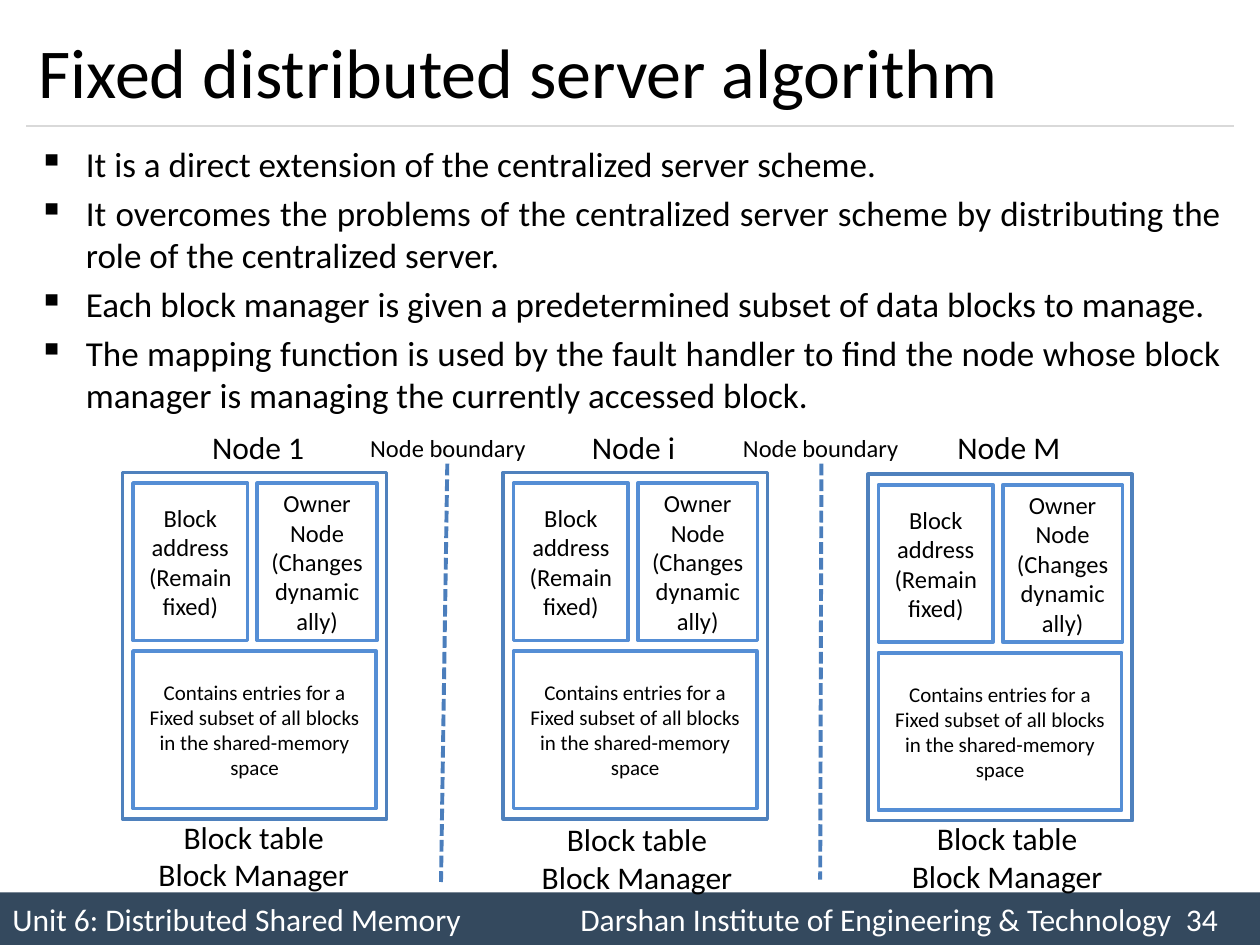
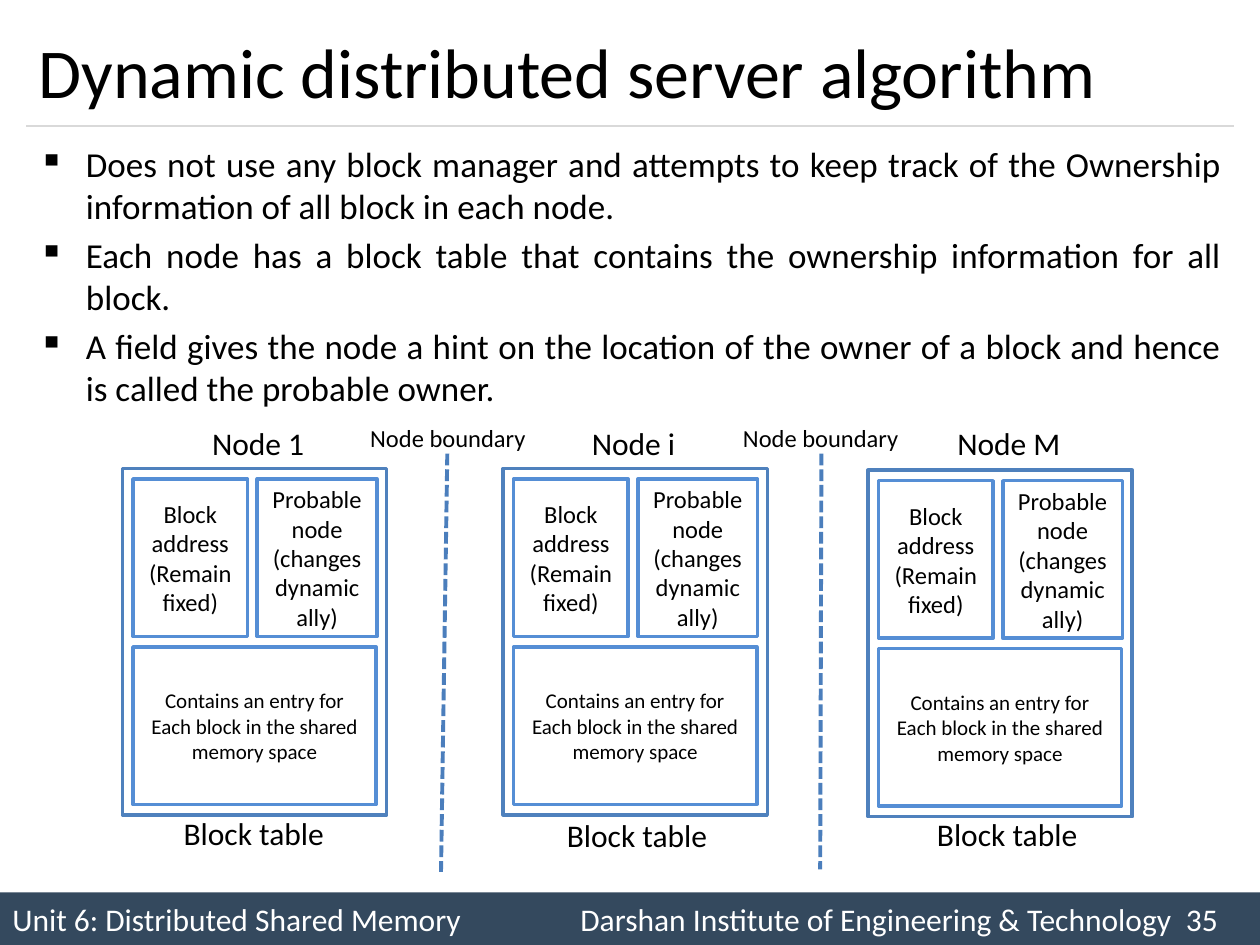
import pptx
import pptx.dml.color
import pptx.enum.dml
import pptx.enum.shapes
import pptx.enum.text
import pptx.oxml.ns
import pptx.util
from lxml import etree

Pt = pptx.util.Pt
ALIGN = pptx.enum.text.PP_ALIGN
ANCHOR = pptx.enum.text.MSO_ANCHOR

FONT = "Calibri"
BLACK, WHITE = "000000", "FFFFFF"
BAND, RULE = "34495E", "D9D9D9"
NODE_LINE, CELL_LINE, BOUNDARY_LINE = "4F81BD", "558ED5", "4B7EBC"

WIDTH, HEIGHT = 720, 540
MARGIN = 15
NODE_W, NODE_H = 151, 198
PAD, CELL_H = 6, 90

# name, left, drop below the diagram top, shift of name, shift and drop of caption
NODES = [
    ("Node 1", 70, 0, 2, -0.5, 193.7),
    ("Node i", 287.5, 0, -1, 1, 195.1),
    ("Node M", 496, 1, 5, 4, 193.7),
]
# label centre, line x at the top, line x at the bottom, line length
BOUNDARIES = [(256, 255.6, 252, 239), (469, 469.4, 468.7, 237.6)]

SLIDES = [
    dict(
        title="Fixed distributed server algorithm",
        number=34,
        bullets=[
            "It is a direct extension of the centralized server scheme.",
            "It overcomes the problems of the centralized server scheme by "
            "distributing the role of the centralized server.",
            "Each block manager is given a predetermined subset of data blocks to manage.",
            "The mapping function is used by the fault handler to find the node whose "
            "block manager is managing the currently accessed block.",
        ],
        top=270,
        boundary_top=265,
        owner=["Owner Node", "(Changes dynamically)"],
        entries=["Contains entries for a", "Fixed subset of all blocks",
                 "in the shared-memory", "space"],
        caption=["Block table", "Block Manager"],
    ),
    dict(
        title="Dynamic distributed server algorithm",
        number=35,
        bullets=[
            "Does not use any block manager and attempts to keep track of the Ownership "
            "information of all block in each node.",
            "Each node has a block table that contains the ownership information for all block.",
            "A field gives the node a hint on the location of the owner of a block and hence "
            "is called the probable owner.",
        ],
        top=267.7,
        boundary_top=259.2,
        owner=["Probable", "node", "(changes", "dynamically)"],
        entries=["Contains an entry for", "Each block in the shared memory space"],
        caption=["Block table"],
    ),
]


def rgb(color):
    return pptx.dml.color.RGBColor.from_string(color)


def add_element(parent, tag, **attrs):
    return etree.SubElement(parent, pptx.oxml.ns.qn(tag), **attrs)


def write(sp, lines, size, color=BLACK, align=ALIGN.CENTER, anchor=ANCHOR.TOP,
          gap=0, bullet=None, indent=0, tabs=()):
    """Fill a shape with one paragraph per line, all in the same format."""
    tf = sp.text_frame
    tf.word_wrap = True
    tf.vertical_anchor = anchor
    for i, line in enumerate(lines):
        p = tf.paragraphs[0] if i == 0 else tf.add_paragraph()
        p.alignment = align
        if gap and i:
            p.space_before = Pt(gap)
        pPr = p._p.get_or_add_pPr()
        if bullet:
            pPr.set("marL", str(Pt(indent)))
            pPr.set("indent", str(-Pt(indent)))
            add_element(pPr, "a:buChar", char=bullet)
        if tabs:
            stops = add_element(pPr, "a:tabLst")
            for pos in tabs:
                add_element(stops, "a:tab", pos=str(Pt(pos)), algn="l")
        r = p.add_run()
        r.text = line
        r.font.name, r.font.size = FONT, Pt(size)
        r.font.color.rgb = rgb(color)


def add_text(s, x, y, w, h, lines, size, **fmt):
    sp = s.shapes.add_textbox(Pt(x), Pt(y), Pt(w), Pt(h))
    write(sp, lines, size, **fmt)


def add_box(s, x, y, w, h, fill, line=None):
    sp = s.shapes.add_shape(pptx.enum.shapes.MSO_SHAPE.RECTANGLE, Pt(x), Pt(y), Pt(w), Pt(h))
    sp.shadow.inherit = False
    sp.fill.solid()
    sp.fill.fore_color.rgb = rgb(fill)
    if line:
        sp.line.color.rgb = rgb(line)
        sp.line.width = Pt(2)
    else:
        sp.line.fill.background()
    return sp


def add_line(s, x1, y1, x2, y2, color, width, dash=None):
    c = s.shapes.add_connector(pptx.enum.shapes.MSO_CONNECTOR.STRAIGHT,
                               Pt(x1), Pt(y1), Pt(x2), Pt(y2))
    c.line.color.rgb = rgb(color)
    c.line.width = Pt(width)
    if dash:
        c.line.dash_style = dash
    add_element(c._element.spPr, "a:effectLst")


def add_frame(s, title, number):
    """Footer band, title and the rule below it."""
    band = add_box(s, 0, 510, WIDTH, 30, BAND)
    write(band, [f"Unit 6: Distributed Shared Memory\t"
                 f"Darshan Institute of Engineering & Technology\t{number}"],
          18, color=WHITE, align=ALIGN.LEFT, anchor=ANCHOR.MIDDLE, tabs=(324.6, 670.6))
    add_line(s, MARGIN, 72, WIDTH - MARGIN, 72, RULE, 0.75)
    add_text(s, MARGIN, 8.6, WIDTH - 2 * MARGIN, 63.4, [title], 40,
             align=ALIGN.JUSTIFY, anchor=ANCHOR.MIDDLE)


def add_bullets(s, bullets):
    add_text(s, MARGIN, 78, WIDTH - 2 * MARGIN, 170, bullets, 20,
             align=ALIGN.JUSTIFY, gap=4, bullet="▪", indent=27)


def add_node(s, x, y, owner, entries):
    """Node box with two cells side by side and a wide cell below them."""
    add_box(s, x, y, NODE_W, NODE_H, WHITE, NODE_LINE)
    cells = [
        (PAD, PAD, 65.5, ["Block address", "(Remain fixed)"], 14),
        (77, PAD, 68.4, owner, 14),
        (PAD, NODE_H - PAD - CELL_H, NODE_W - 2 * PAD, entries, 12),
    ]
    for dx, dy, w, lines, size in cells:
        cell = add_box(s, x + dx, y + dy, w, CELL_H, WHITE, CELL_LINE)
        write(cell, lines, size, anchor=ANCHOR.MIDDLE)


def add_boundary(s, center, x1, x2, y, length):
    add_line(s, x1, y, x2, y + length, BOUNDARY_LINE, 2.25,
             pptx.enum.dml.MSO_LINE.SQUARE_DOT)
    add_text(s, center - 60, y - 21, 120, 24, ["Node boundary"], 14)


def add_diagram(s, top, boundary_top, owner, entries, caption):
    for center, x1, x2, length in BOUNDARIES:
        add_boundary(s, center, x1, x2, boundary_top, length)
    for name, x, drop, name_dx, caption_dx, caption_dy in NODES:
        y = top + drop
        add_text(s, x + name_dx, top - 28.8, NODE_W, 29, [name], 18)
        add_node(s, x, y, owner, entries)
        add_text(s, x + caption_dx, y + caption_dy, NODE_W, 7 + 22 * len(caption), caption, 18)


def main():
    prs = pptx.Presentation()
    prs.slide_width, prs.slide_height = Pt(WIDTH), Pt(HEIGHT)
    for content in SLIDES:
        s = prs.slides.add_slide(prs.slide_layouts[6])
        add_frame(s, content["title"], content["number"])
        add_bullets(s, content["bullets"])
        add_diagram(s, content["top"], content["boundary_top"], content["owner"],
                    content["entries"], content["caption"])
    prs.save("out.pptx")


if __name__ == "__main__":
    main()
